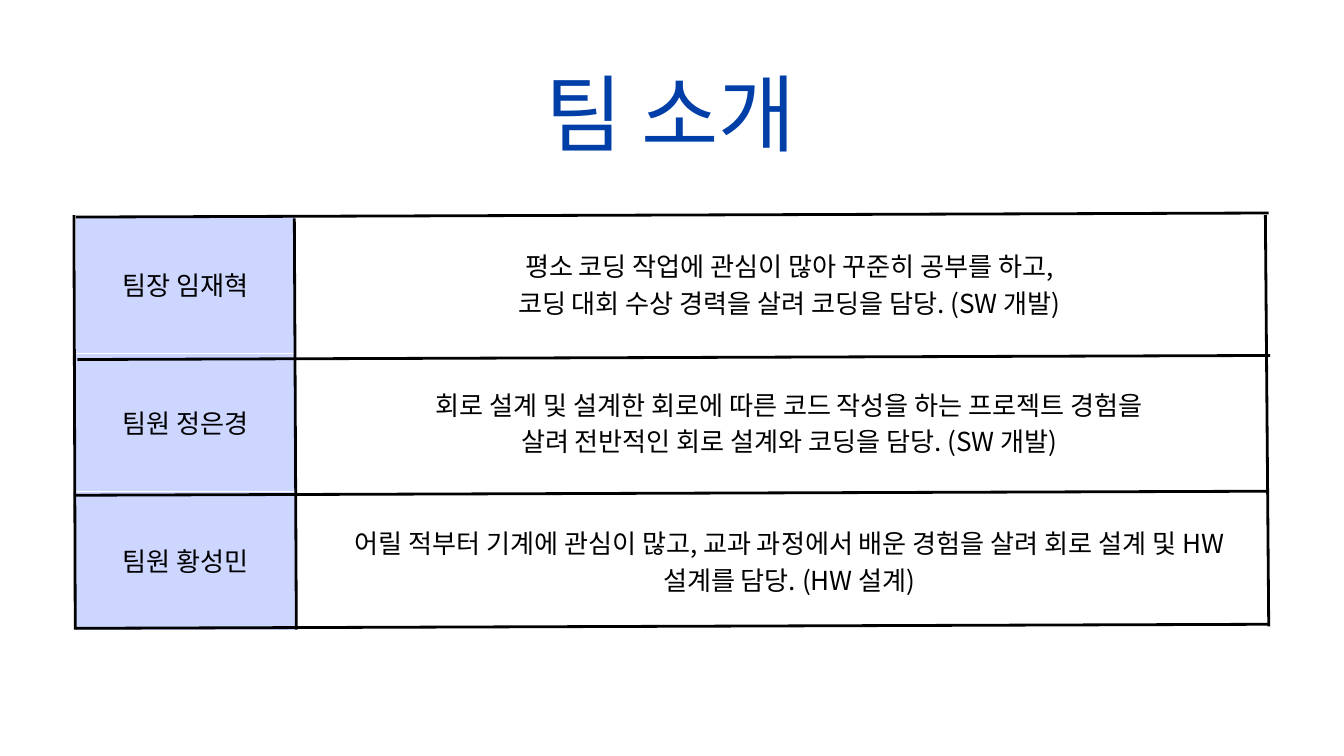
from dataclasses import dataclass

from lxml.etree import SubElement
from pptx import Presentation
from pptx.dml.color import RGBColor
from pptx.enum.shapes import MSO_CONNECTOR
from pptx.enum.text import MSO_ANCHOR, PP_ALIGN
from pptx.oxml.ns import qn
from pptx.slide import Slide
from pptx.text.text import _Paragraph
from pptx.util import Inches, Pt


@dataclass(frozen=True)
class Theme:
    font: str = "Noto Sans CJK KR"
    title_size: float = 90
    title_spacing: float = 108
    body_size: float = 28
    body_spacing: float = 39.2
    rule_width: float = 3
    title: RGBColor = RGBColor(0x00, 0x3E, 0xA8)
    ink: RGBColor = RGBColor(0x00, 0x00, 0x00)
    name_fill: RGBColor = RGBColor(0xCD, 0xD6, 0xFF)
    role_fill: RGBColor = RGBColor(0xFF, 0xFF, 0xFF)


@dataclass(frozen=True)
class Member:
    name: str
    role: tuple[str, ...]


@dataclass(frozen=True)
class Rule:
    x1: float
    y1: float
    x2: float
    y2: float


THEME = Theme()

MEMBERS = (
    Member("팀장 임재혁", (
        "평소 코딩 작업에 관심이 많아 꾸준히 공부를 하고,",
        "코딩 대회 수상 경력을 살려 코딩을 담당. (SW 개발)",
    )),
    Member("팀원 정은경", (
        "회로 설계 및 설계한 회로에 따른 코드 작성을 하는 프로젝트 경험을",
        "살려 전반적인 회로 설계와 코딩을 담당. (SW 개발)",
    )),
    Member("팀원 황성민", (
        "어릴 적부터 기계에 관심이 많고, 교과 과정에서 배운 경험을 살려 회로 설계 및 HW",
        "설계를 담당. (HW 설계)",
    )),
)

COLUMN_WIDTHS = (3.27, 14.71)
ROW_HEIGHT = 2.06
CELL_MARGIN = 0.21

# Every row rule has the same length and the same slight upward tilt.
ROW_RULE_LENGTH, ROW_RULE_RISE = 17.75, 0.06
ROW_RULE_STARTS = ((1.15, 5.35), (1.1, 7.37), (1.13, 3.23), (1.13, 9.35))
COLUMN_RULES = (
    Rule(1.12, 9.37, 1.1, 3.2),
    Rule(18.88, 9.32, 18.83, 3.2),
    Rule(4.41, 9.37, 4.38, 3.25),
)


def style_paragraph(paragraph: _Paragraph, size: float, spacing: float, color: RGBColor) -> None:
    paragraph.alignment = PP_ALIGN.CENTER
    paragraph.line_spacing = Pt(spacing)
    font = paragraph.font
    font.size = Pt(size)
    font.color.rgb = color
    font.name = THEME.font
    properties = paragraph._p.pPr.find(qn("a:defRPr"))
    SubElement(properties, qn("a:ea")).set("typeface", THEME.font)


def add_title(slide: Slide, text: str) -> None:
    box = slide.shapes.add_textbox(Inches(2.65), Inches(0.92), Inches(14.65), Inches(1.51))
    frame = box.text_frame
    frame.word_wrap = True
    frame.margin_left = frame.margin_right = frame.margin_top = frame.margin_bottom = 0
    frame.text = text
    style_paragraph(frame.paragraphs[0], THEME.title_size, THEME.title_spacing, THEME.title)


def add_member_table(slide: Slide) -> None:
    table = slide.shapes.add_table(
        len(MEMBERS), len(COLUMN_WIDTHS), Inches(1.12), Inches(3.2),
        Inches(sum(COLUMN_WIDTHS)), Inches(ROW_HEIGHT * len(MEMBERS)),
    ).table
    table.first_row = table.horz_banding = False
    for column, width in zip(table.columns, COLUMN_WIDTHS):
        column.width = Inches(width)
    for row, member in zip(table.rows, MEMBERS):
        row.height = Inches(ROW_HEIGHT)
        contents = ((member.name,), member.role)
        fills = (THEME.name_fill, THEME.role_fill)
        for cell, lines, fill in zip(row.cells, contents, fills):
            cell.fill.solid()
            cell.fill.fore_color.rgb = fill
            cell.vertical_anchor = MSO_ANCHOR.MIDDLE
            cell.margin_left = cell.margin_right = Inches(CELL_MARGIN)
            cell.margin_top = cell.margin_bottom = Inches(CELL_MARGIN)
            cell.text = "\n".join(lines)
            for paragraph in cell.text_frame.paragraphs:
                style_paragraph(paragraph, THEME.body_size, THEME.body_spacing, THEME.ink)


def add_rule(slide: Slide, rule: Rule) -> None:
    connector = slide.shapes.add_connector(
        MSO_CONNECTOR.STRAIGHT,
        Inches(rule.x1), Inches(rule.y1), Inches(rule.x2), Inches(rule.y2),
    )
    connector.line.color.rgb = THEME.ink
    connector.line.width = Pt(THEME.rule_width)
    SubElement(connector._element.spPr, qn("a:effectLst"))


def main() -> None:
    presentation = Presentation()
    presentation.slide_width = Inches(20)
    presentation.slide_height = Inches(11.25)
    slide = presentation.slides.add_slide(presentation.slide_layouts[6])

    add_member_table(slide)
    add_title(slide, "팀 소개")
    row_rules = tuple(
        Rule(x, y, x + ROW_RULE_LENGTH, y - ROW_RULE_RISE) for x, y in ROW_RULE_STARTS
    )
    for rule in row_rules + COLUMN_RULES:
        add_rule(slide, rule)

    presentation.save("out.pptx")


if __name__ == "__main__":
    main()
